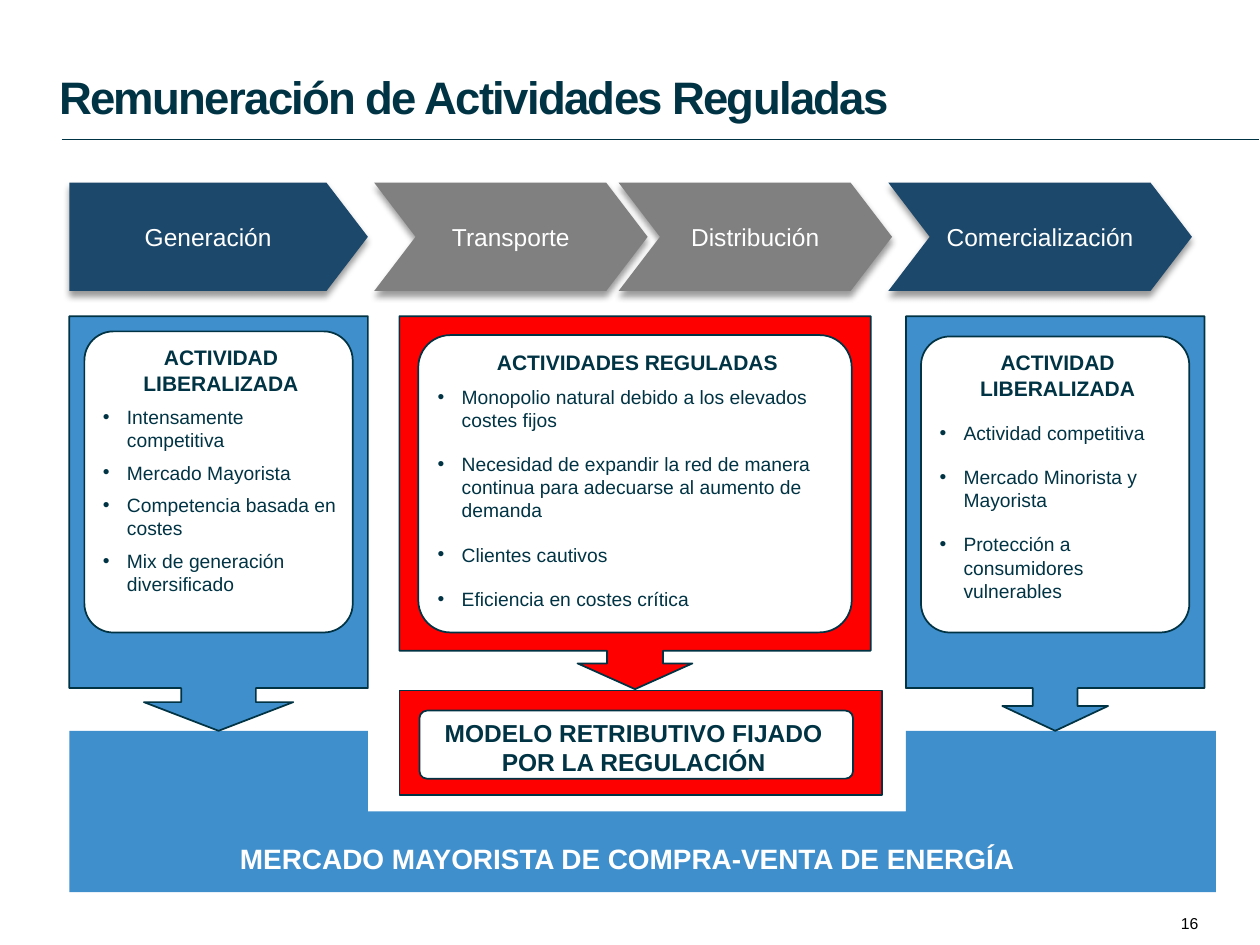
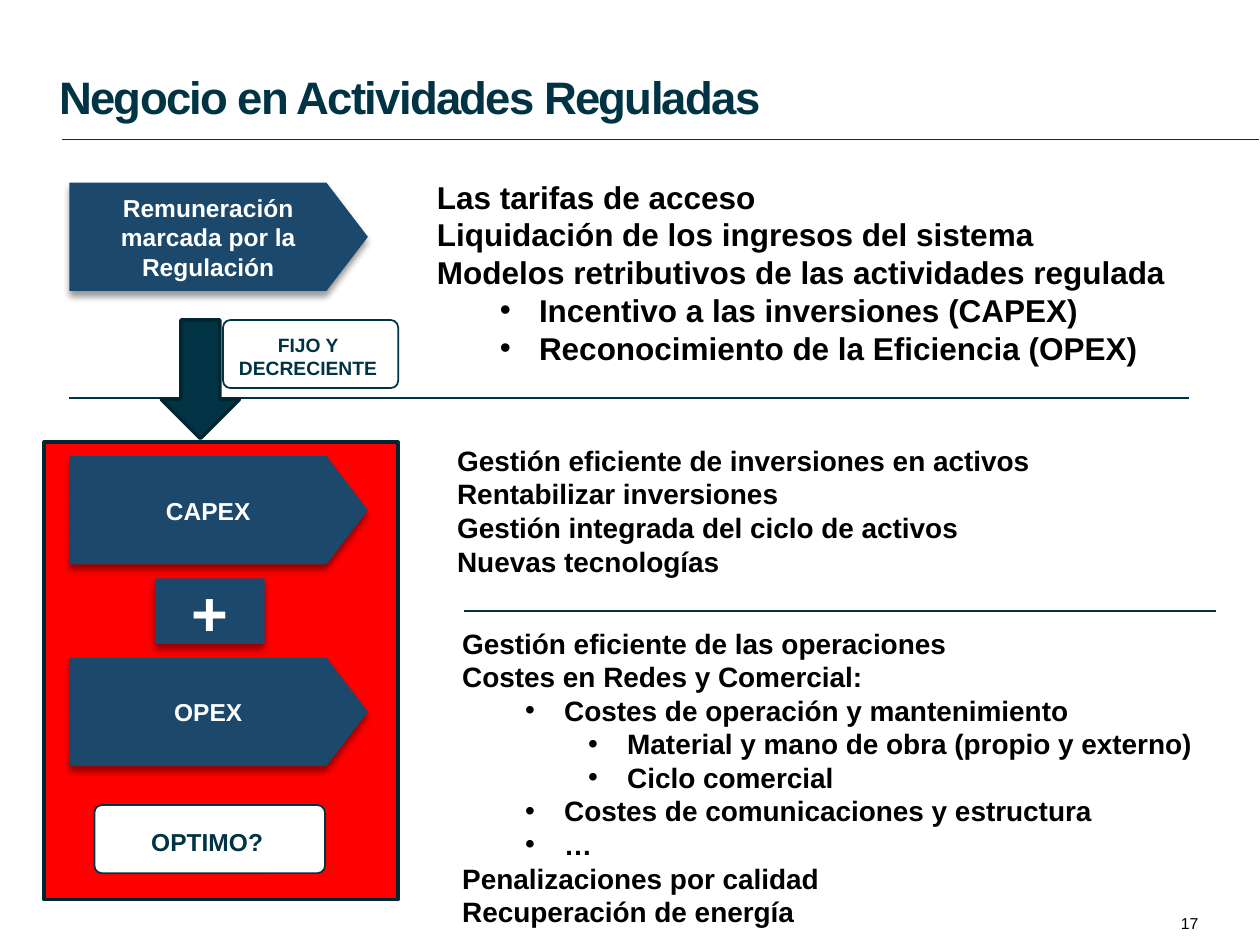
from lxml import etree
from pptx import Presentation
from pptx.dml.color import RGBColor
from pptx.enum import shapes, text
from pptx.oxml import ns
from pptx.util import Inches, Pt

SHAPE = shapes.MSO_SHAPE
ALIGN = text.PP_ALIGN
ANCHOR = text.MSO_ANCHOR
FONT = "Arial"
INK, EDGE, NAVY, BLUE = "003344", "002632", "1C486B", "408FCD"
RED, GREY, WHITE, BLACK = "FF0000", "808080", "FFFFFF", "000000"
STEP_H = 0.86
LEFT = 0.55
COLUMN_W = 2.37


def rgb(value):
    """Turn a hex string into a colour."""
    return RGBColor.from_string(value)


def child(parent, tag, **attrs):
    """Append a DrawingML element to its parent."""
    return etree.SubElement(parent, ns.qn(tag), {k: str(v) for k, v in attrs.items()})


def add_shadow(sp):
    """Give a shape the soft shadow that falls below it."""
    effects = sp._element.spPr.find(ns.qn("a:effectLst"))
    outer = child(effects, "a:outerShdw", blurRad=Pt(4), dist=Pt(3), dir=5400000,
                  algn="ctr", rotWithShape=0)
    child(child(outer, "a:srgbClr", val=BLACK), "a:alpha", val=40000)


def paint(sp, fill, line=None, width=1):
    """Set the fill and outline of a shape."""
    sp.shadow.inherit = False
    sp.fill.solid()
    sp.fill.fore_color.rgb = rgb(fill)
    if line:
        sp.line.color.rgb = rgb(line)
        sp.line.width = Pt(width)
    else:
        sp.line.fill.background()


def add_block(s, kind, box, fill, line=None, width=1, adj=()):
    """Add a preset shape with its fill, outline and adjustments."""
    sp = s.shapes.add_shape(kind, *map(Inches, box))
    paint(sp, fill, line, width)
    for i, value in enumerate(adj):
        sp.adjustments[i] = value
    return sp


def add_rule(s, x1, x2, y, color=INK):
    """Draw a thin horizontal line."""
    rule = s.shapes.add_connector(shapes.MSO_CONNECTOR.STRAIGHT,
                                  *map(Inches, (x1, y, x2, y)))
    rule.line.color.rgb = rgb(color)
    rule.line.width = Pt(0.75)
    child(rule._element.spPr, "a:effectLst")


def set_frame(tf, insets=(0.1, 0.05, 0.1, 0.05), anchor=ANCHOR.MIDDLE):
    """Set the insets, anchor and wrapping of a text frame."""
    tf.margin_left, tf.margin_top, tf.margin_right, tf.margin_bottom = map(Inches, insets)
    tf.vertical_anchor = anchor
    tf.word_wrap = True


def write(p, words, size, color, bold=False, align=ALIGN.LEFT, indent=None, hang=0.0):
    """Fill a paragraph, with a bullet when an indent is given."""
    p.text = words
    p.alignment = align
    if indent:
        pPr = p._p.get_or_add_pPr()
        pPr.set("marL", str(Inches(indent)))
        pPr.set("indent", str(-Inches(hang)))
        child(pPr, "a:buFont", typeface=FONT)
        child(pPr, "a:buChar", char="•")
    for r in p.runs:
        r.font.name = FONT
        r.font.size = Pt(size)
        r.font.bold = bold
        r.font.color.rgb = rgb(color)


def next_paragraph(tf, index):
    """Return the first paragraph, or a new one after it."""
    return tf.add_paragraph() if index else tf.paragraphs[0]


def add_text(s, box, words, size, color, insets, anchor=ANCHOR.MIDDLE, **style):
    """Add a text box holding one paragraph."""
    tf = s.shapes.add_textbox(*map(Inches, box)).text_frame
    set_frame(tf, insets, anchor)
    write(tf.paragraphs[0], words, size, color, **style)
    return tf.paragraphs[0]


def add_step(s, kind, box, label, fill=NAVY, size=14, bold=False, point=0.382):
    """Add a shadowed step of the value chain."""
    sp = add_block(s, kind, box, fill, adj=[point])
    add_shadow(sp)
    set_frame(sp.text_frame)
    write(sp.text_frame.paragraphs[0], label, size, WHITE, bold, ALIGN.CENTER)


def add_label(s, box, label, size=14):
    """Add a white rounded label with bold text."""
    sp = add_block(s, SHAPE.ROUNDED_RECTANGLE, box, WHITE, INK, adj=[0.108])
    set_frame(sp.text_frame, (0, 0.04, 0.04, 0))
    write(sp.text_frame.paragraphs[0], label, size, INK, True, ALIGN.CENTER)


def add_activity(s, box, fill, arrow, card, heading, items, first_gap, gap):
    """Add a callout with an arrow below and a card of bullets inside it."""
    x, y = box[:2]
    dx, dy, w, h = card
    add_block(s, SHAPE.DOWN_ARROW_CALLOUT, box, fill, INK, adj=arrow)
    sp = add_block(s, SHAPE.ROUNDED_RECTANGLE, (x + dx, y + dy, w, h), WHITE, INK, adj=[0.108])
    tf = sp.text_frame
    set_frame(tf, (0.08, 0.04, 0.04, 0.04), ANCHOR.TOP)
    write(tf.paragraphs[0], heading, 12, INK, True, ALIGN.CENTER)
    for i, item in enumerate(items):
        p = tf.add_paragraph()
        write(p, item, 11, INK, indent=0.19, hang=0.19)
        p.space_before = Pt(gap if i else first_gap)


def add_market(s, box, notch, label):
    """Add the U-shaped market base with its label."""
    x, y, w, h = box
    left, right, depth = notch
    corners = [(x, y), (x + left, y), (x + left, y + depth), (x + right, y + depth),
               (x + right, y), (x + w, y), (x + w, y + h), (x, y + h)]
    points = [(Inches(a), Inches(b)) for a, b in corners]
    builder = s.shapes.build_freeform(*points[0], scale=1.0)
    builder.add_line_segments(points[1:], close=True)
    paint(builder.convert_to_shape(), BLUE)
    add_text(s, (x, y + 0.79, w - 0.2, 0.41), label, 16, WHITE, (0, 0.04, 0.04, 0),
             bold=True, align=ALIGN.CENTER)


def add_outline(s, box, size, items):
    """Add a bold list whose items carry a level."""
    tf = s.shapes.add_textbox(*map(Inches, box)).text_frame
    set_frame(tf, anchor=ANCHOR.TOP)
    for i, (level, item) in enumerate(items):
        indent = 0.31 + 0.5 * level if level else None
        write(next_paragraph(tf, i), item, size, BLACK, True, indent=indent, hang=0.31)


def new_slide(prs, title, number):
    """Add a slide with its title, rule and page number."""
    s = prs.slides.add_slide(prs.slide_layouts[6])
    add_rule(s, 0.49, 9.99, 1.11)
    p = add_text(s, (0.47, 0.12, 9, 0.86), title, 26, INK, (0, 0.05, 0.1, 0),
                 ANCHOR.BOTTOM, bold=True)
    p.line_spacing = Pt(26)
    p.runs[0].font._element.set("spc", "-100")
    add_text(s, (8.92, 7.19, 0.59, 0.27), number, 9, BLACK, (0.1, 0.05, 0, 0.05),
             align=ALIGN.RIGHT)
    return s


def build_remuneration(prs):
    """Build the slide on how each activity is paid."""
    s = new_slide(prs, "Remuneración de Actividades Reguladas", "16")
    add_market(s, (LEFT, 5.8, 9.1, 1.28), (COLUMN_W, 6.64, 0.64),
               "MERCADO MAYORISTA DE COMPRA-VENTA DE ENERGÍA")
    steps = [(SHAPE.PENTAGON, LEFT, COLUMN_W, "Generación", NAVY),
             (SHAPE.CHEVRON, 2.97, 2.17, "Transporte", GREY),
             (SHAPE.CHEVRON, 4.91, 2.17, "Distribución", GREY),
             (SHAPE.CHEVRON, 7.05, 2.41, "Comercialización", NAVY)]
    for kind, x, w, label, fill in steps:
        add_step(s, kind, (x, 1.45, w, STEP_H), label, fill)
    top = 2.51
    add_activity(s, (7.19, top, COLUMN_W, 3.29), BLUE, (0.15, 0.177, 0.083, 0.897),
                 (0.12, 0.16, 2.13, 2.35), "ACTIVIDAD LIBERALIZADA",
                 ["Actividad competitiva", "Mercado Minorista y Mayorista",
                  "Protección a consumidores vulnerables"], 12, 12)
    add_activity(s, (3.17, top, 3.74, 2.96), RED, (0.15, 0.154, 0.069, 0.897),
                 (0.15, 0.15, 3.44, 2.36), "ACTIVIDADES REGULADAS",
                 ["Monopolio natural debido a los elevados costes fijos",
                  "Necesidad de expandir la red de manera continua para adecuarse "
                  "al aumento de demanda",
                  "Clientes cautivos", "Eficiencia en costes crítica"], 6, 12)
    add_activity(s, (LEFT, top, COLUMN_W, 3.29), BLUE, (0.25, 0.25, 0.096, 0.897),
                 (0.12, 0.12, 2.13, 2.39), "ACTIVIDAD LIBERALIZADA",
                 ["Intensamente competitiva", "Mercado Mayorista",
                  "Competencia basada en costes", "Mix de generación diversificado"], 5.5, 5.5)
    add_block(s, SHAPE.RECTANGLE, (3.17, 5.48, 3.83, 0.83), RED, INK)
    add_label(s, (3.33, 5.64, 3.44, 0.54), "MODELO RETRIBUTIVO FIJADO POR LA REGULACIÓN")


def build_business(prs):
    """Build the slide on the business of regulated activities."""
    s = new_slide(prs, "Negocio en Actividades Reguladas", "17")
    add_block(s, SHAPE.RECTANGLE, (0.35, 3.51, 2.81, 3.63), RED, EDGE, 2)
    for y, label in [(1.45, "Remuneración marcada por la Regulación"),
                     (3.62, "CAPEX"), (5.22, "OPEX")]:
        add_step(s, SHAPE.PENTAGON, (LEFT, y, COLUMN_W, STEP_H), label, bold=True)
    add_step(s, SHAPE.PENTAGON, (1.23, 4.59, 0.87, 0.52), "+", size=36, bold=True, point=0)
    add_rule(s, LEFT, 9.44, 3.16, "003243")
    add_rule(s, 3.68, 9.65, 4.85, "003243")
    add_block(s, SHAPE.DOWN_ARROW, (1.28, 2.54, 0.62, 0.94), INK, EDGE, 2)
    add_label(s, (0.75, 6.39, 1.83, 0.54), "OPTIMO?")
    add_label(s, (1.77, 2.54, 1.39, 0.54), "FIJO Y DECRECIENTE", 11)
    add_outline(s, (3.37, 1.36, 6.3, 1.92), 18, [
        (0, "Las tarifas de acceso"),
        (0, "Liquidación de los ingresos del sistema"),
        (0, "Modelos retributivos de las actividades regulada"),
        (1, "Incentivo a las inversiones (CAPEX)"),
        (1, "Reconocimiento de la Eficiencia (OPEX)")])
    add_outline(s, (3.53, 3.47, 5, 1.21), 16, [
        (0, "Gestión eficiente de inversiones en activos"),
        (0, "Rentabilizar inversiones"),
        (0, "Gestión integrada del ciclo de activos"),
        (0, "Nuevas tecnologías")])
    add_outline(s, (3.57, 4.92, 6.3, 2.5), 16, [
        (0, "Gestión eficiente de las operaciones"),
        (0, "Costes en Redes y Comercial:"),
        (1, "Costes de operación y mantenimiento"),
        (2, "Material y mano de obra (propio y externo)"),
        (2, "Ciclo comercial"),
        (1, "Costes de comunicaciones y estructura"),
        (1, "…"),
        (0, "Penalizaciones por calidad"),
        (0, "Recuperación de energía")])


def main():
    """Build and save the presentation."""
    prs = Presentation()
    prs.slide_width, prs.slide_height = Inches(10), Inches(7.5)
    build_remuneration(prs)
    build_business(prs)
    prs.save("out.pptx")


if __name__ == "__main__":
    main()
